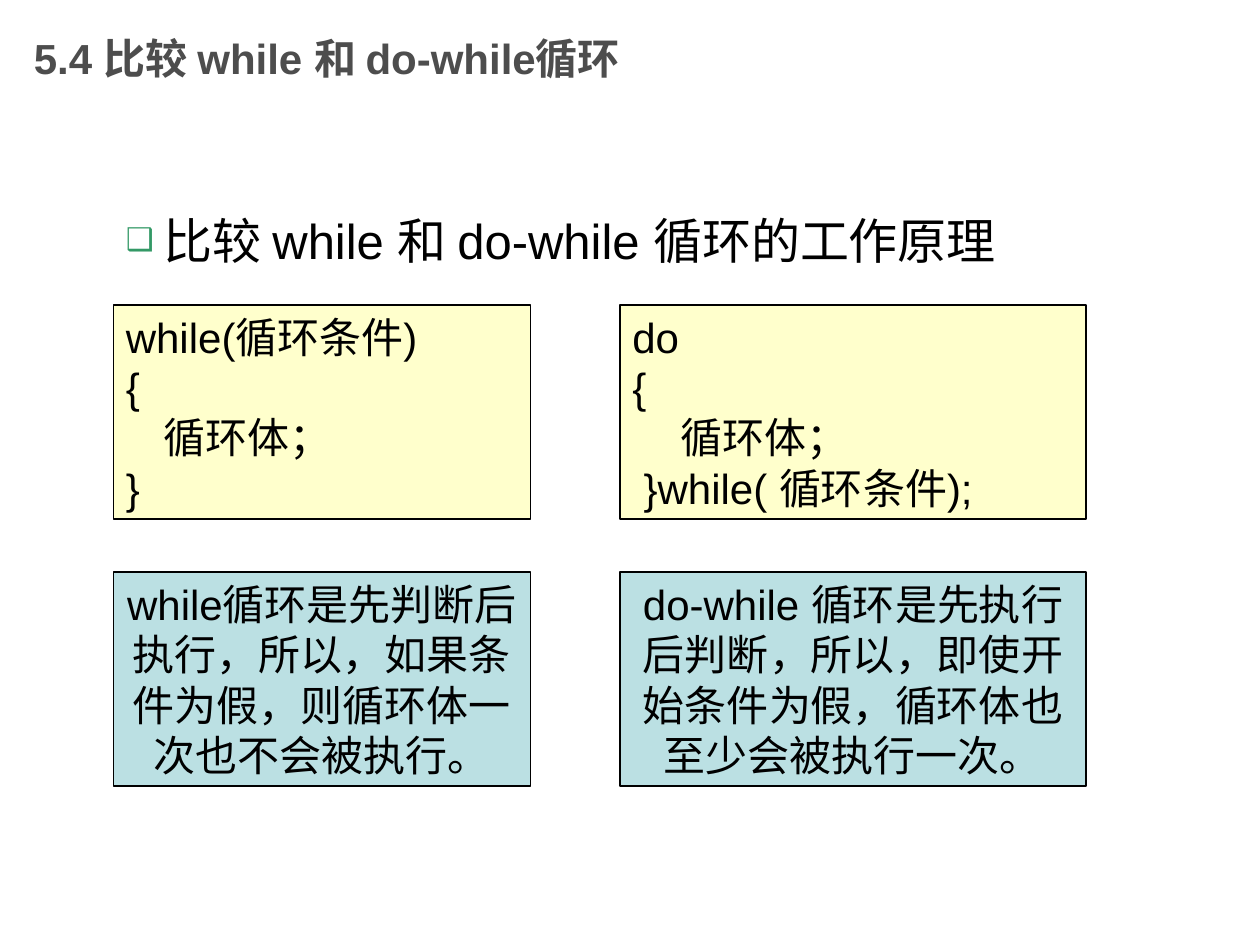
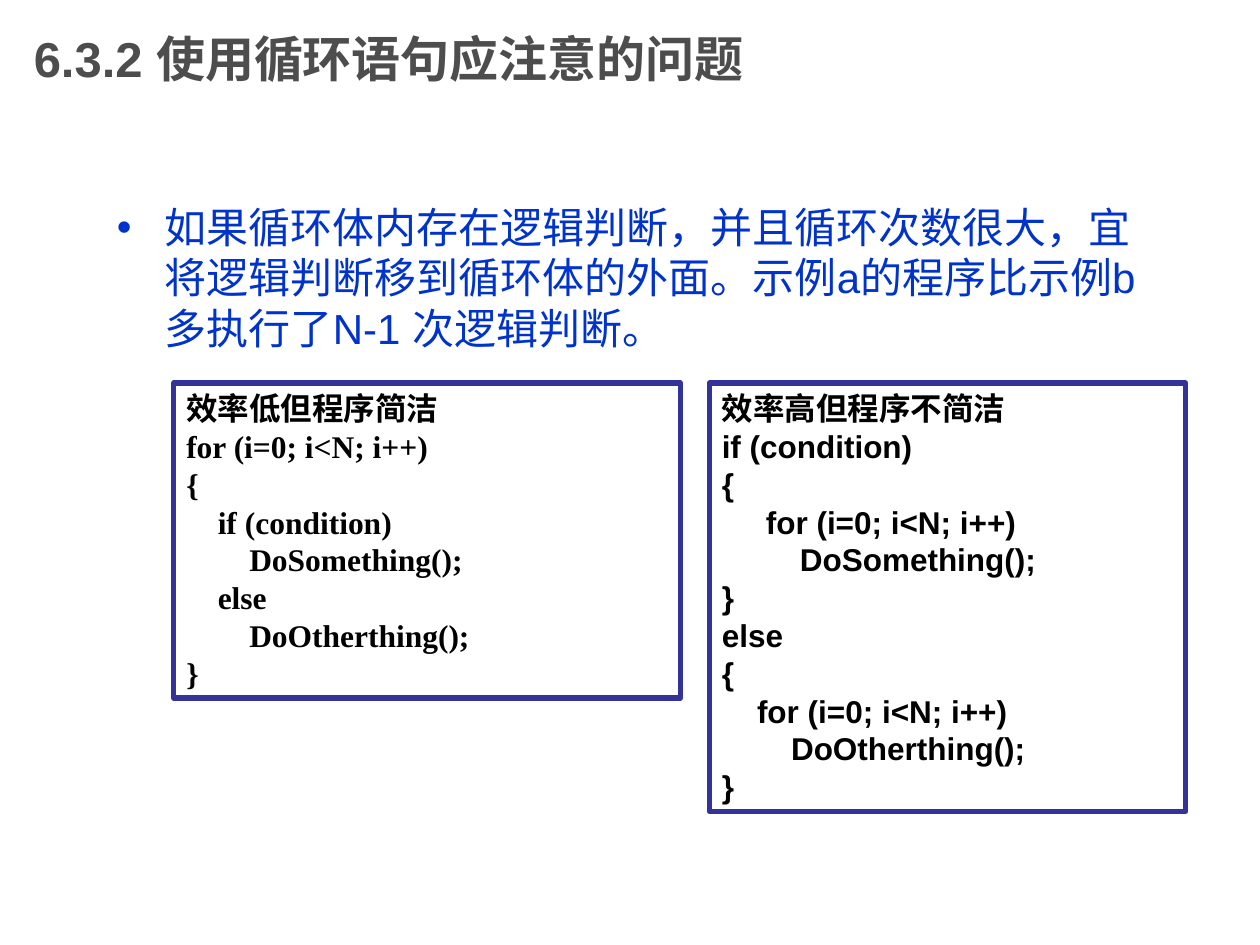
"""Build two slides on loop statements: while against do-while, and loop efficiency."""
import lxml.etree
import pptx
import pptx.dml.color
import pptx.enum.shapes
import pptx.enum.text
import pptx.oxml.ns
import pptx.util

Inches = pptx.util.Inches
Pt = pptx.util.Pt
ANCHOR = pptx.enum.text.MSO_ANCHOR
ALIGN = pptx.enum.text.PP_ALIGN

BLACK = "000000"
WHITE = "FFFFFF"
TITLE_GREY = "4D4D4D"
SYNTAX_YELLOW = "FFFFCC"
EXPLAIN_TEAL = "BBE0E3"
BULLET_GREEN = "339966"
ADVICE_BLUE = "0033CC"
FRAME_BLUE = "333399"


def rgb(hex_colour):
    """Turn a hex string into a colour."""
    return pptx.dml.color.RGBColor.from_string(hex_colour)


def style(paragraph, size, colour=BLACK, font="Arial", bold=False):
    """Format every run of a paragraph."""
    for run in paragraph.runs:
        run.font.size = Pt(size)
        run.font.name = font
        run.font.bold = bold
        run.font.color.rgb = rgb(colour)


def indent(paragraph, left, first=0):
    """Set the left margin and the first line indent, in inches."""
    properties = paragraph._p.get_or_add_pPr()
    properties.set("marL", str(Inches(left)))
    properties.set("indent", str(Inches(first)))


def add_title(slide, text, size):
    """Add the bold grey heading at the top left."""
    heading = slide.shapes.add_textbox(Inches(0.17), 0, Inches(7.5), Inches(0.92))
    frame = heading.text_frame
    frame.word_wrap = True
    frame.vertical_anchor = ANCHOR.MIDDLE
    frame.text = text
    style(frame.paragraphs[0], size, TITLE_GREY, bold=True)


def add_bullet_text(slide, area, text, size, colour, mark, mark_colour,
                    mark_percent, hang, space_before):
    """Add one bulleted paragraph with a hanging indent."""
    statement = slide.shapes.add_textbox(*map(Inches, area))
    frame = statement.text_frame
    frame.word_wrap = True
    frame.text = text
    paragraph = frame.paragraphs[0]
    paragraph.space_before = Pt(space_before)
    style(paragraph, size, colour)
    indent(paragraph, hang, -hang)
    properties = paragraph._p.get_or_add_pPr()
    qn = pptx.oxml.ns.qn
    tint = lxml.etree.SubElement(properties, qn("a:buClr"))
    lxml.etree.SubElement(tint, qn("a:srgbClr"), val=mark_colour)
    lxml.etree.SubElement(properties, qn("a:buSzPct"), val=str(mark_percent * 1000))
    lxml.etree.SubElement(properties, qn("a:buFont"), typeface="Arial")
    lxml.etree.SubElement(properties, qn("a:buChar"), char=mark)


def add_box(slide, area, lines, size, fill, line_colour=BLACK, line_width=1,
            font="Arial", bold=False, anchor=ANCHOR.TOP, align=ALIGN.LEFT):
    """Add a framed rectangle whose lines are (indent in inches, text) pairs."""
    box = slide.shapes.add_shape(
        pptx.enum.shapes.MSO_SHAPE.RECTANGLE, *map(Inches, area))
    box.shadow.inherit = False
    box.fill.solid()
    box.fill.fore_color.rgb = rgb(fill)
    box.line.color.rgb = rgb(line_colour)
    box.line.width = Pt(line_width)
    frame = box.text_frame
    frame.word_wrap = True
    frame.vertical_anchor = anchor
    frame.text = "\n".join(text for _, text in lines)
    for paragraph, (left, _) in zip(frame.paragraphs, lines):
        paragraph.alignment = align
        indent(paragraph, left)
        style(paragraph, size, font=font, bold=bold)


def build_comparison(slide):
    """Compare while and do-while, one column each."""
    add_title(slide, "5.4 比较 while 和 do-while循环", 24)
    columns = [
        (0.9, 3.31,
         [(0, "while(循环条件)"), (0, "{"), (0.3, "循环体；"), (0, "}")],
         "while循环是先判断后执行，所以，如果条件为假，则循环体一次也不会被执行。"),
        (4.92, 3.7,
         [(0, "do"), (0, "{"), (0.38, "循环体；"), (0.09, "}while( 循环条件);")],
         "do-while 循环是先执行后判断，所以，即使开始条件为假，循环体也至少会被执行一次。"),
    ]
    for left, width, syntax, explanation in columns:
        add_box(slide, (left, 2.42, width, 1.7), syntax, 24, SYNTAX_YELLOW,
                anchor=ANCHOR.MIDDLE)
        add_box(slide, (left, 4.54, width, 1.7), [(0, explanation)], 24,
                EXPLAIN_TEAL, align=ALIGN.CENTER)
    add_bullet_text(slide, (0.9, 1.62, 8.19, 0.57),
                    "比较 while 和 do-while 循环的工作原理", 28, BLACK,
                    "❑", BULLET_GREEN, 64, 0.3, 7)


def build_efficiency(slide):
    """Contrast a test inside the loop with a test outside it."""
    add_title(slide, "6.3.2 使用循环语句应注意的问题", 28)
    add_bullet_text(slide, (0.83, 1.55, 8.51, 1.4),
                    "如果循环体内存在逻辑判断，并且循环次数很大，宜将逻辑判断移到循环体的外面。"
                    "示例a的程序比示例b多执行了N-1 次逻辑判断。",
                    24, ADVICE_BLUE, "•", ADVICE_BLUE, 100, 0.38, 6)
    loop = "for (i=0; i<N; i++)"
    test_inside = [
        (0, "效率低但程序简洁"), (0, loop), (0, "{"),
        (0.25, "if (condition)"), (0.5, "DoSomething();"),
        (0.25, "else"), (0.5, "DoOtherthing();"), (0, "}"),
    ]
    test_outside = [
        (0, "效率高但程序不简洁"), (0, "if (condition)"), (0, "{"),
        (0.35, loop), (0.62, "DoSomething();"), (0, "}"),
        (0, "else"), (0, "{"),
        (0.28, loop), (0.55, "DoOtherthing();"), (0, "}"),
    ]
    for area, code, font in [
        ((1.38, 3.04, 4.02, 2.5), test_inside, "Times New Roman"),
        ((5.63, 3.04, 3.78, 3.4), test_outside, "Arial"),
    ]:
        add_box(slide, area, code, 18, WHITE, FRAME_BLUE, 3, font, bold=True)


def main():
    """Create the presentation and save it."""
    presentation = pptx.Presentation()
    presentation.slide_width = Inches(10)
    presentation.slide_height = Inches(7.5)
    blank = presentation.slide_layouts[6]
    for build in (build_comparison, build_efficiency):
        build(presentation.slides.add_slide(blank))
    presentation.save("out.pptx")


if __name__ == "__main__":
    main()
